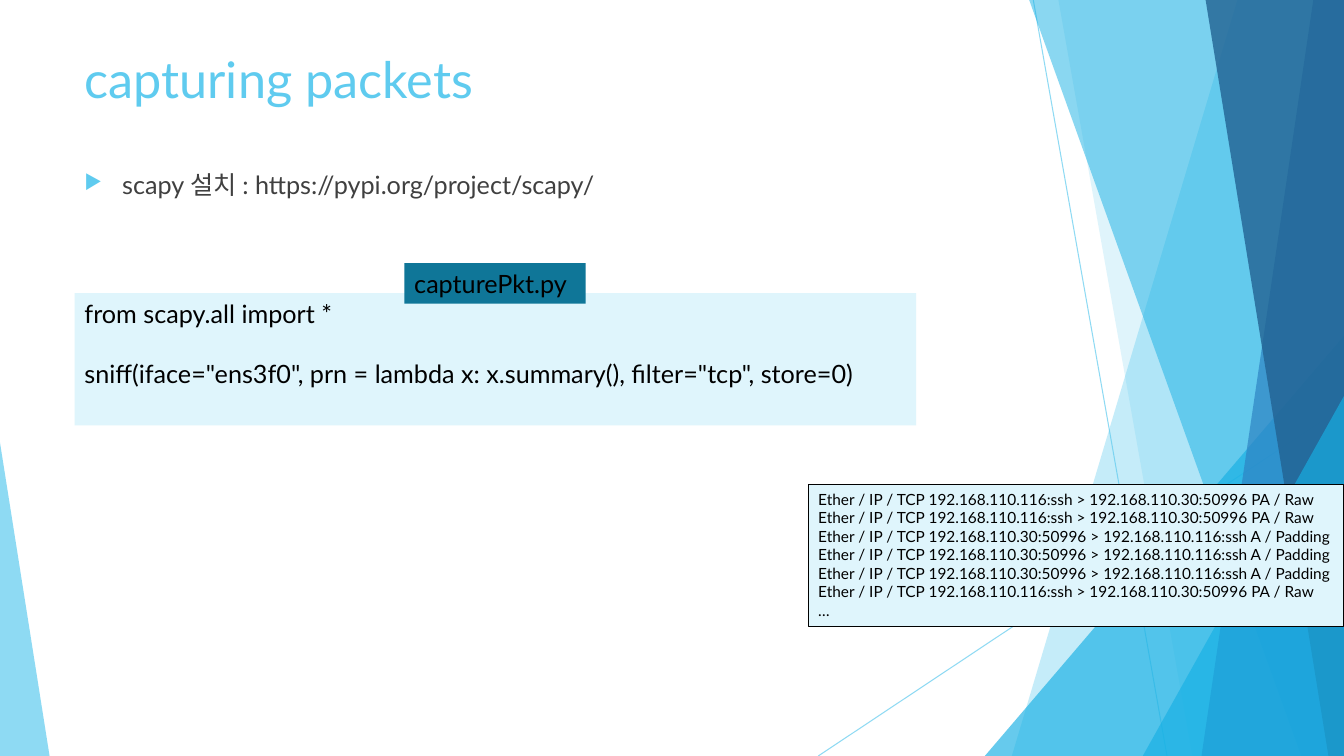
from lxml import etree
from pptx import Presentation
from pptx.dml.color import RGBColor
from pptx.enum import shapes, text
from pptx.oxml import ns
from pptx.util import Cm, Pt

COLORS = {
    "sky": "5FCBEF", "cyan": "17B0E4", "blue": "2E83C3", "navy": "226292",
    "pale": "DFF5FC", "teal": "0F7698", "grey": "404040", "black": "000000",
}
WIDTH, HEIGHT = 33.87, 19.05

deck = Presentation()
deck.slide_width, deck.slide_height = Cm(WIDTH), Cm(HEIGHT)
slide = deck.slides.add_slide(deck.slide_layouts[6])


def paint(color_format, color, opacity=100):
    """Set the colour of a solid fill, with opacity in percent."""
    color_format.fore_color.rgb = RGBColor.from_string(COLORS[color])
    if opacity < 100:
        srgb = color_format._xPr.find(".//" + ns.qn("a:srgbClr"))
        etree.SubElement(srgb, ns.qn("a:alpha"), val=str(opacity * 1000))


def write(frame, lines, size, color, gap=0):
    """Fill a text frame with one paragraph per line."""
    frame.word_wrap = True
    frame.vertical_anchor = text.MSO_ANCHOR.TOP
    for number, line in enumerate(lines):
        paragraph = frame.paragraphs[0] if number == 0 else frame.add_paragraph()
        paragraph.alignment = text.PP_ALIGN.LEFT
        if number and gap:
            paragraph.space_before = Pt(gap)
        run = paragraph.add_run()
        run.text = line
        run.font.name = "Lato"
        run.font.size = Pt(size)
        run.font.color.rgb = RGBColor.from_string(COLORS[color])


# Thin rays behind the panels
for x1, y1, x2, y2 in [(26.04, 0, 29.41, HEIGHT), (WIDTH, 10.24, 20.62, HEIGHT)]:
    ray = slide.shapes.add_connector(
        shapes.MSO_CONNECTOR.STRAIGHT, Cm(x1), Cm(y1), Cm(x2), Cm(y2))
    ray.line.width = Pt(0.75)
    ray.line.fill.solid()
    paint(ray.line.fill, "sky", 70)
    etree.SubElement(ray._element.spPr, ns.qn("a:effectLst"))

# Translucent panels: a wedge is (top x, bottom x) up to the right edge,
# a triangle is (left, width, height, apex) standing on the bottom edge
panels = [
    ((31.19, 25.5), "sky", 36),
    ((26.67, 30.05), "sky", 20),
    ((24.82, 9.05, 10.59, 1), "cyan", 66),
    ((25.93, 32.79), "cyan", 50),
    ((33.1, 30.28), "blue", 70),
    ((30.38, 33.48), "navy", 80),
    ((28.8, 5.07, 9.07, 1), "cyan", 66),
    ((0, 1.25, 7.9, 0), "sky", 70),
]
for outline, color, opacity in panels:
    if len(outline) == 2:
        top_x, bottom_x = outline
        wedge = slide.shapes.build_freeform(Cm(top_x), Cm(-0.02))
        corners = [(WIDTH, -0.02), (WIDTH, HEIGHT), (bottom_x, HEIGHT)]
        wedge.add_line_segments([(Cm(x), Cm(y)) for x, y in corners])
        panel = wedge.convert_to_shape()
    else:
        left, width, height, apex = outline
        panel = slide.shapes.add_shape(
            shapes.MSO_SHAPE.ISOSCELES_TRIANGLE,
            Cm(left), Cm(HEIGHT - height), Cm(width), Cm(height))
        panel.adjustments[0] = apex
    panel.shadow.inherit = False
    panel.line.fill.background()
    panel.fill.solid()
    paint(panel.fill, color, opacity)

# Title
title = slide.shapes.add_textbox(Cm(1.88), Cm(1.09), Cm(23.88), Cm(3.66))
write(title.text_frame, ["capturing packets"], 36, "sky")

# Install bullet
install = slide.shapes.add_textbox(Cm(1.88), Cm(4.14), Cm(23.88), Cm(10.77))
properties = install.text_frame.paragraphs[0]._p.get_or_add_pPr()
properties.set("marL", str(Cm(0.95)))
properties.set("indent", str(Cm(-0.95)))
bullet_color = etree.SubElement(properties, ns.qn("a:buClr"))
etree.SubElement(bullet_color, ns.qn("a:srgbClr"), val=COLORS["sky"])
etree.SubElement(properties, ns.qn("a:buSzPct"), val="80000")
etree.SubElement(properties, ns.qn("a:buChar"), char="▶")
write(install.text_frame, ["scapy 설치 : https://pypi.org/project/scapy/"], 18, "grey")

# Code, its file name and the captured output
code = [
    "from scapy.all import *",
    'sniff(iface="ens3f0", prn = lambda x: x.summary(), filter="tcp", store=0)',
]
sent = "Ether / IP / TCP 192.168.110.116:ssh > 192.168.110.30:50996 PA / Raw"
received = "Ether / IP / TCP 192.168.110.30:50996 > 192.168.110.116:ssh A / Padding"
output = [sent] * 2 + [received] * 3 + [sent, "…"]

boxes = [
    ((1.88, 7.39, 21.21, 3.33), "pale", None, code, 18, 21.6),
    ((10.19, 6.63, 4.57, 1.02), "teal", None, ["capturePkt.py"], 18, 0),
    ((20.37, 12.22, 13.5, 3.56), "pale", "black", output, 11, 0),
]
for place, color, border, lines, size, gap in boxes:
    box = slide.shapes.add_shape(
        shapes.MSO_SHAPE.RECTANGLE, *[Cm(length) for length in place])
    box.shadow.inherit = False
    box.fill.solid()
    paint(box.fill, color)
    if border:
        box.line.width = Pt(0.75)
        box.line.color.rgb = RGBColor.from_string(COLORS[border])
    else:
        box.line.fill.background()
    write(box.text_frame, lines, size, "black", gap)

deck.save("out.pptx")
